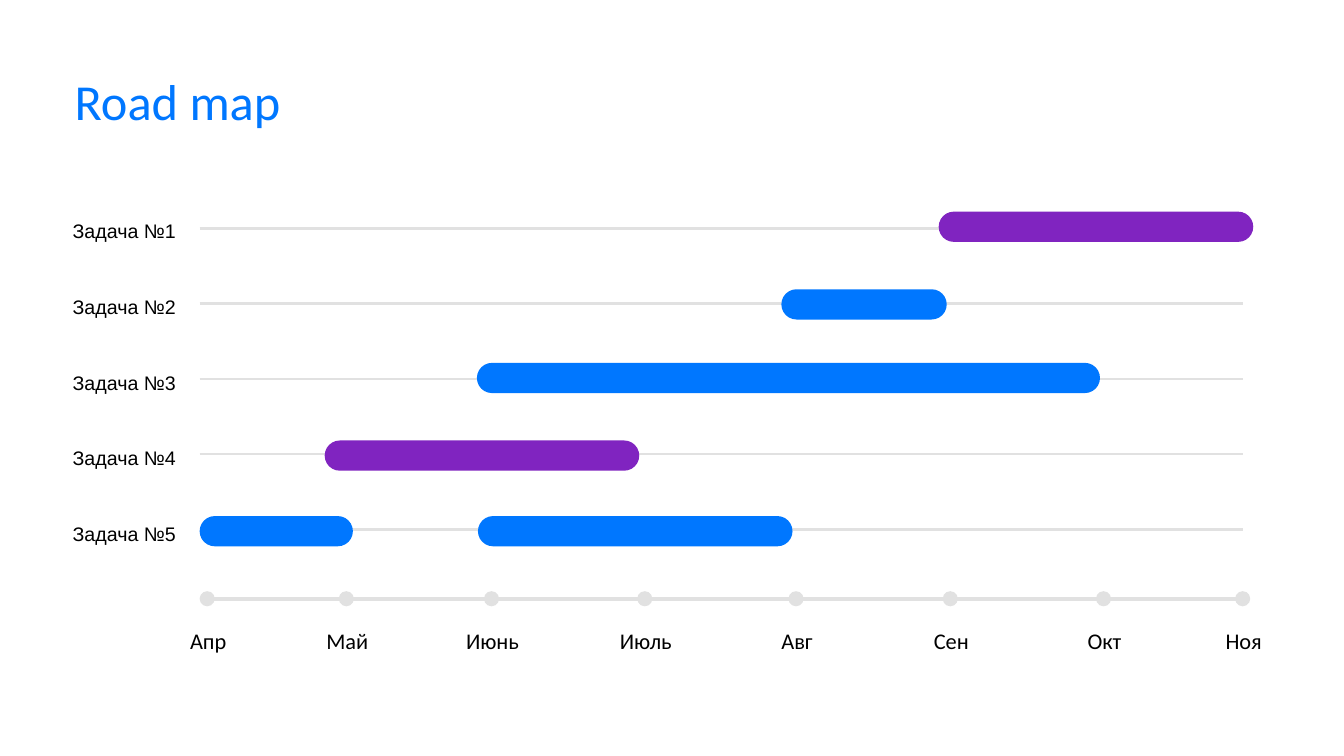
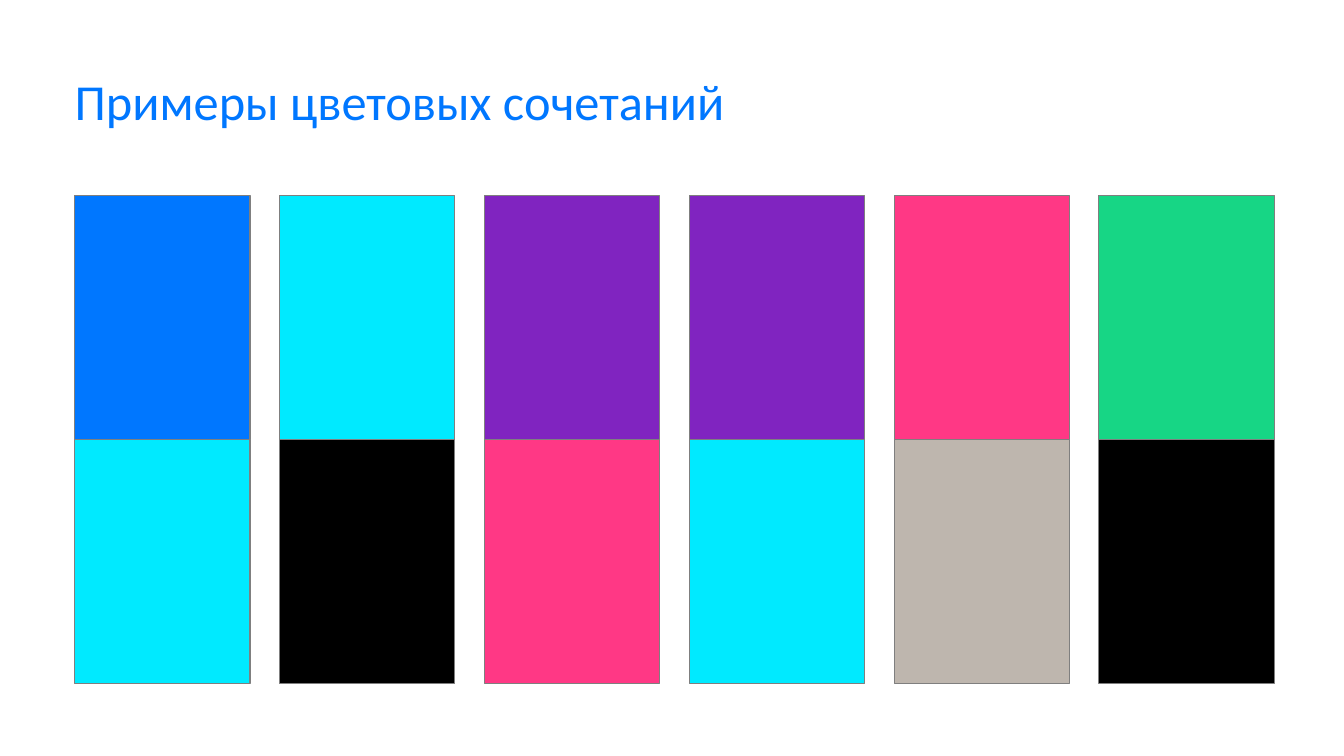
from lxml.etree import SubElement
from pptx import Presentation
from pptx.dml.color import RGBColor
from pptx.enum.shapes import MSO_CONNECTOR as Connector, MSO_SHAPE as Shape
from pptx.enum.text import MSO_ANCHOR as Anchor, MSO_AUTO_SIZE as AutoSize, PP_ALIGN as Align
from pptx.oxml.ns import qn
from pptx.util import Inches, Pt

BLUE = "0077FF"
PURPLE = "8024C0"
CYAN = "00EAFF"
PINK = "FF3885"
GREEN = "17D685"
TAUPE = "BEB6AE"
BLACK = "000000"
GREY = "E1E1E1"
OUTLINE = "7F7F7F"

rgb = RGBColor.from_string


def write_text(shape, text, size, font="Calibri", color=BLACK, align=Align.LEFT,
               line_spacing=1.2, inset=0.04, auto_size=AutoSize.SHAPE_TO_FIT_TEXT):
    frame = shape.text_frame
    frame.word_wrap = True
    frame.auto_size = auto_size
    frame.vertical_anchor = Anchor.TOP
    frame.margin_left = frame.margin_right = Inches(inset)
    frame.margin_top = frame.margin_bottom = Inches(inset)
    paragraph = frame.paragraphs[0]
    paragraph.alignment = align
    paragraph.line_spacing = line_spacing
    run = paragraph.add_run()
    run.text = text
    run.font.size = Pt(size)
    run.font.name = font
    run.font.color.rgb = rgb(color)


def add_block(slide, kind, left, top, width, height, fill, outline=None):
    shape = slide.shapes.add_shape(kind, Inches(left), Inches(top), Inches(width), Inches(height))
    shape.shadow.inherit = False
    shape.fill.solid()
    shape.fill.fore_color.rgb = rgb(fill)
    if outline:
        shape.line.color.rgb = rgb(outline)
        shape.line.width = Pt(0.75)
    else:
        shape.line.fill.background()
    return shape


presentation = Presentation()
presentation.slide_width = Inches(13.33)
presentation.slide_height = Inches(7.5)
title_layout = presentation.slide_layouts[5]

slides = []
for title_text, title_height in [("Road map", 0.7), ("Примеры цветовых сочетаний", 1.18)]:
    slide = presentation.slides.add_slide(title_layout)
    title = slide.shapes.title
    title.left, title.top = Inches(0.74), Inches(0.76)
    title.width, title.height = Inches(11.88), Inches(title_height)
    write_text(title, title_text, 36, color=BLUE, line_spacing=0.9, inset=0,
               auto_size=AutoSize.NONE)
    slides.append(slide)
roadmap, palette = slides

axis_left, axis_right, axis_y = 1.98, 12.33, 5.94
task_lines = [(2.27 + 0.745 * row, 2) for row in range(5)]
for y, weight in [(axis_y, 3)] + task_lines:
    line = roadmap.shapes.add_connector(
        Connector.STRAIGHT, Inches(axis_left), Inches(y), Inches(axis_right), Inches(y))
    line.line.color.rgb = rgb(GREY)
    line.line.width = Pt(weight)
    SubElement(line._element.spPr, qn("a:effectLst"))

months = [("Апр", 1.98), ("Май", 3.36), ("Июнь", 4.8), ("Июль", 6.32),
          ("Авг", 7.82), ("Сен", 9.35), ("Окт", 10.87), ("Ноя", 12.25)]
dot_size, month_width = 0.15, 0.75
for month, left in months:
    add_block(roadmap, Shape.OVAL, left, axis_y - dot_size / 2, dot_size, dot_size, GREY)
    label_left = left + (dot_size - month_width) / 2 + 0.01
    label = roadmap.shapes.add_textbox(
        Inches(label_left), Inches(6.13), Inches(month_width), Inches(0.38))
    write_text(label, month, 16, align=Align.CENTER)

bars = [(1.98, 5.12, 1.52, BLUE), (3.22, 4.37, 3.12, PURPLE), (4.74, 5.12, 3.12, BLUE),
        (4.73, 3.6, 6.18, BLUE), (7.75, 2.87, 1.64, BLUE), (9.31, 2.1, 3.12, PURPLE)]
for left, top, width, color in bars:
    bar = add_block(roadmap, Shape.ROUNDED_RECTANGLE, left, top, width, 0.3, color)
    bar.adjustments[0] = 0.5

for row in range(5):
    label = roadmap.shapes.add_textbox(
        Inches(0.68), Inches(2.09 + 0.75 * row), Inches(1.3), Inches(0.34))
    write_text(label, f"Задача №{row + 1}", 14, font="Arial")

swatch_rows = [
    [BLUE, CYAN, PURPLE, PURPLE, PINK, GREEN],
    [CYAN, BLACK, PINK, CYAN, TAUPE, BLACK],
]
swatch_width, swatch_height = 1.74, 2.42
column_step = (10.9 - 0.74) / 5
for row, colors in enumerate(swatch_rows):
    for column, color in enumerate(colors):
        add_block(palette, Shape.RECTANGLE, 0.74 + column_step * column,
                  1.94 + swatch_height * row, swatch_width, swatch_height, color, OUTLINE)

presentation.save("out.pptx")
